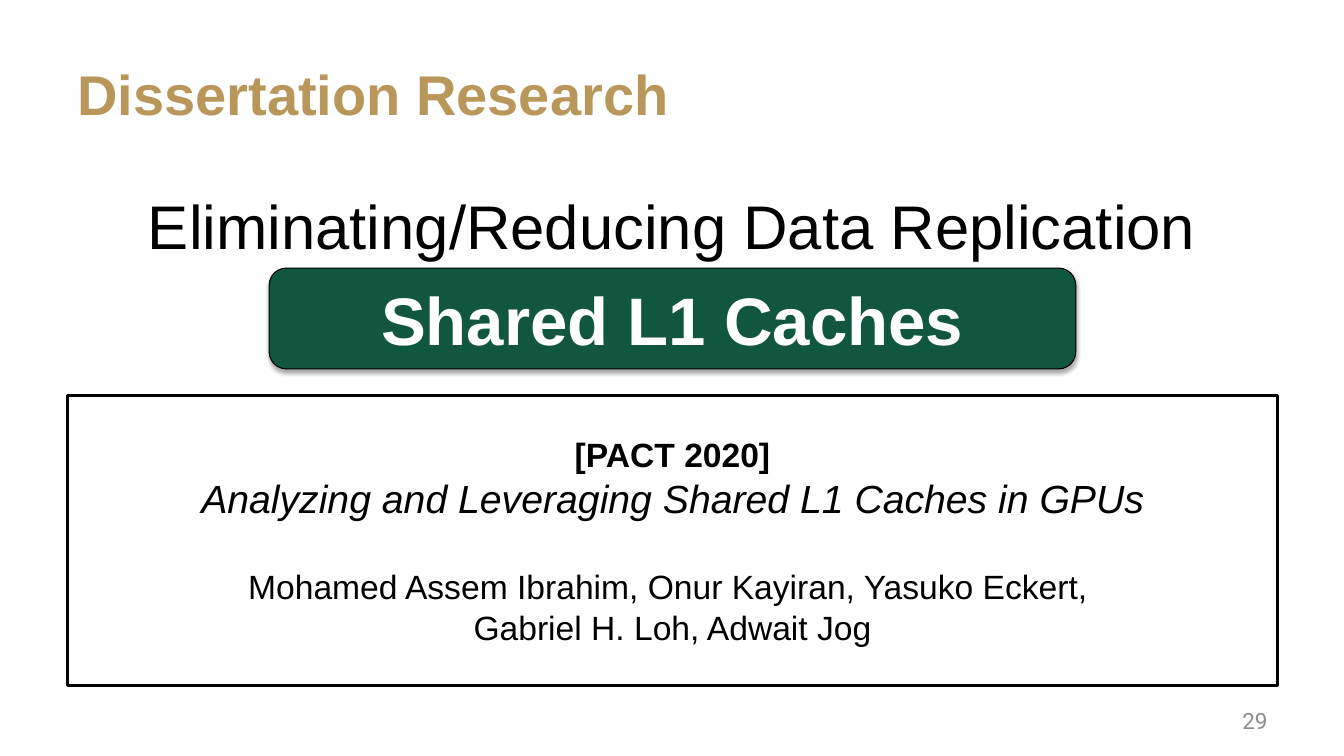
from dataclasses import dataclass

import pptx
import pptx.dml.color
import pptx.enum.shapes
import pptx.enum.text
import pptx.oxml
import pptx.oxml.ns
import pptx.util
from pptx.util import Inches

ALIGN = pptx.enum.text.PP_ALIGN
ANCHOR = pptx.enum.text.MSO_ANCHOR


@dataclass(frozen=True)
class Theme:
    gold: str = "B9975B"
    green: str = "115740"
    black: str = "000000"
    white: str = "FFFFFF"
    grey: str = "8C8C8C"
    font: str = "Arial"
    number_font: str = "Roboto"
    title: int = 40
    topic: int = 44
    banner: int = 48
    paper: int = 28
    detail: int = 24
    number: int = 16


class SlideBuilder:
    def __init__(self, page, theme):
        self.page = page
        self.theme = theme

    def color(self, value):
        return pptx.dml.color.RGBColor.from_string(value)

    def set_lines(self, shape, lines, color, align=ALIGN.CENTER, anchor=ANCHOR.MIDDLE, font=None):
        frame = shape.text_frame
        frame.word_wrap = True
        frame.vertical_anchor = anchor
        for index, (text, size, bold, italic, gap) in enumerate(lines):
            para = frame.add_paragraph() if index else frame.paragraphs[0]
            para.alignment = align
            para.space_before = pptx.util.Pt(gap)
            span = para.add_run()
            span.text = text
            span.font.name = font or self.theme.font
            span.font.size = pptx.util.Pt(size)
            span.font.bold = bold
            span.font.italic = italic
            span.font.color.rgb = self.color(color)

    def text(self, bounds, text, size, color, bold=False, **layout):
        box = self.page.shapes.add_textbox(*map(Inches, bounds))
        self.set_lines(box, [(text, size, bold, False, 0)], color, **layout)

    def panel(self, bounds, lines, fill, color, line_width, corner):
        box = self.page.shapes.add_shape(
            pptx.enum.shapes.MSO_SHAPE.ROUNDED_RECTANGLE, *map(Inches, bounds)
        )
        box.adjustments[0] = corner
        box.fill.solid()
        box.fill.fore_color.rgb = self.color(fill)
        box.line.color.rgb = self.color(self.theme.black)
        box.line.width = pptx.util.Pt(line_width)
        box.shadow.inherit = False
        self.set_lines(box, lines, color)
        return box

    def drop_shadow(self, box, blur, distance, opacity):
        effects = box._element.spPr.find(pptx.oxml.ns.qn("a:effectLst"))
        effects.append(pptx.oxml.parse_xml(
            f'<a:outerShdw {pptx.oxml.ns.nsdecls("a")} blurRad="{pptx.util.Pt(blur)}" '
            f'dist="{pptx.util.Pt(distance)}" dir="5400000" rotWithShape="0">'
            f'<a:srgbClr val="{self.theme.black}"><a:alpha val="{opacity * 1000}"/>'
            "</a:srgbClr></a:outerShdw>"
        ))


def main():
    deck = pptx.Presentation()
    deck.slide_width = Inches(13.33)
    deck.slide_height = Inches(7.5)
    theme = Theme()
    builder = SlideBuilder(deck.slides.add_slide(deck.slide_layouts[6]), theme)

    builder.text((0.67, 0.3, 12, 1.25), "Dissertation Research", theme.title,
                 theme.gold, bold=True, align=ALIGN.LEFT)
    builder.text((0.67, 1.82, 12, 0.8), "Eliminating/Reducing Data Replication",
                 theme.topic, theme.black, anchor=ANCHOR.TOP)
    builder.text((9.56, 6.95, 3.11, 0.4), "29", theme.number, theme.grey,
                 align=ALIGN.RIGHT, font=theme.number_font)

    banner = builder.panel(
        (2.67, 2.66, 8, 1), [("Shared L1 Caches", theme.banner, True, False, 0)],
        theme.green, theme.white, 0.75, 0.17,
    )
    builder.drop_shadow(banner, 3.1, 1.8, 35)

    paper_lines = [
        ("[PACT 2020]", theme.detail, True, False, 0),
        ("Analyzing and Leveraging Shared L1 Caches in GPUs", theme.paper, False, True, 0),
        ("Mohamed Assem Ibrahim, Onur Kayiran, Yasuko Eckert, ", theme.detail, False, False, 32),
        ("Gabriel H. Loh, Adwait Jog", theme.detail, False, False, 0),
    ]
    builder.panel((0.67, 3.92, 12, 2.88), paper_lines, theme.white, theme.black, 2.25, 0)

    deck.save("out.pptx")


if __name__ == "__main__":
    main()
